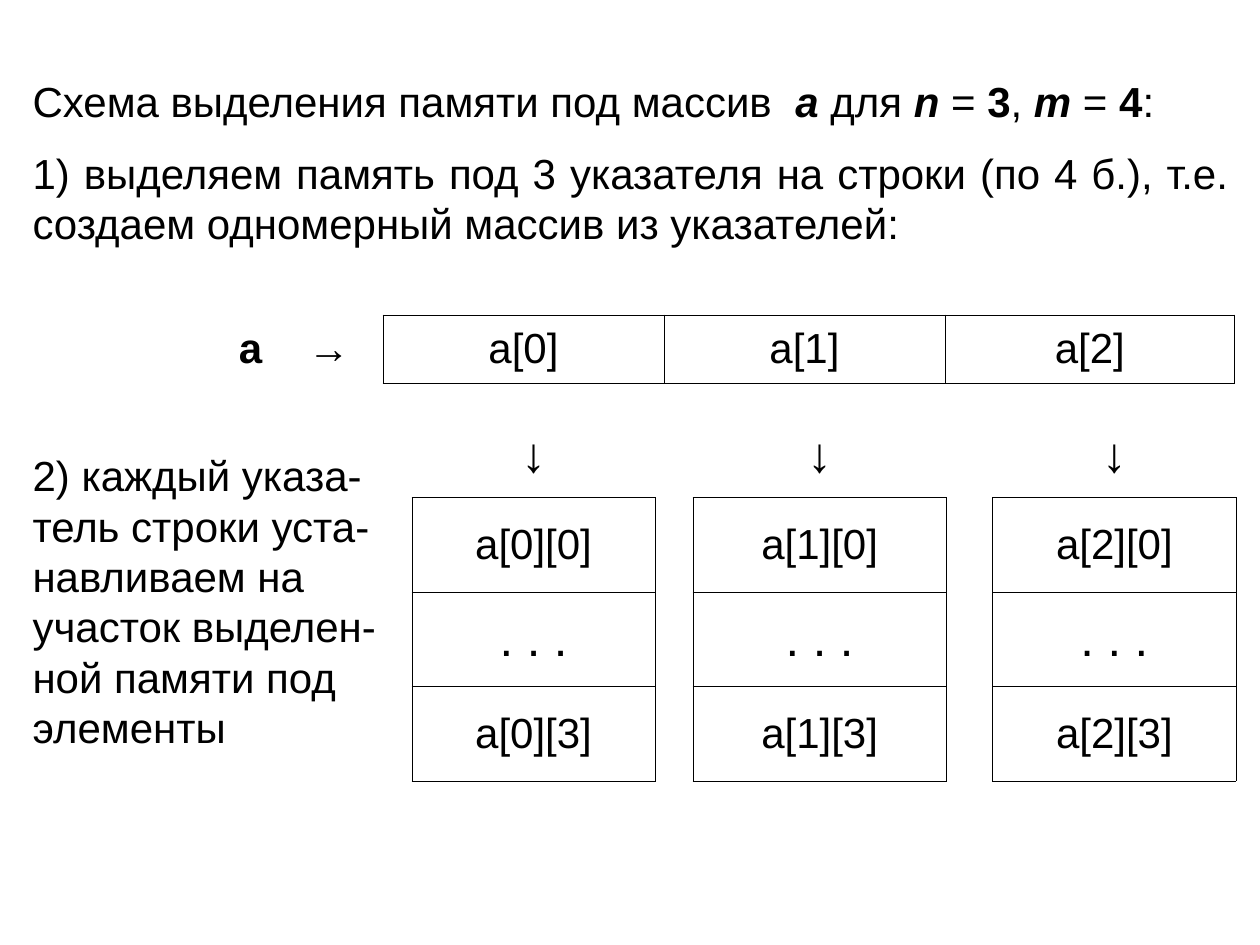
from dataclasses import dataclass

import pptx
import pptx.dml.color
import pptx.enum.text
import pptx.oxml.ns
import pptx.util
from lxml import etree

Pt = pptx.util.Pt
ALIGN = pptx.enum.text.PP_ALIGN
ANCHOR = pptx.enum.text.MSO_ANCHOR
INK = "000000"
BORDER_WIDTH = 0.45
FULL = "LRTB"


@dataclass
class Span:
    text: str
    bold: bool = False
    italic: bool = False
    size: float = 24


@dataclass
class Cell:
    span: Span | None
    sides: str = FULL
    align: int = ALIGN.CENTER


@dataclass
class Grid:
    left: float
    top: float
    columns: list[float]
    rows: list[float]
    cells: list[list[Cell]]


@dataclass
class Note:
    left: float
    top: float
    width: float
    height: float
    paragraphs: list[list[Span]]
    align: int
    anchor: int


def color(hex_value: str) -> pptx.dml.color.RGBColor:
    return pptx.dml.color.RGBColor.from_string(hex_value)


def set_format(target, values: dict) -> None:
    for name, value in values.items():
        setattr(target, name, value)


def write_spans(para, spans: list[Span], align: int, before: float = 0) -> None:
    set_format(para, {"alignment": align, "space_before": Pt(before)})
    for span in spans:
        run = para.add_run()
        run.text = span.text
        set_format(run.font, {"name": "Arial", "size": Pt(span.size),
                              "bold": span.bold, "italic": span.italic})
        run.font.color.rgb = color(INK)


def draw_note(page, note: Note) -> None:
    box = page.shapes.add_textbox(Pt(note.left), Pt(note.top), Pt(note.width), Pt(note.height))
    frame = box.text_frame
    set_format(frame, {"word_wrap": True, "vertical_anchor": note.anchor,
                       "auto_size": pptx.enum.text.MSO_AUTO_SIZE.SHAPE_TO_FIT_TEXT,
                       "margin_left": Pt(7.2), "margin_right": Pt(7.2),
                       "margin_top": Pt(3.6), "margin_bottom": Pt(5.76)})
    for index, spans in enumerate(note.paragraphs):
        para = frame.add_paragraph() if index else frame.paragraphs[0]
        write_spans(para, spans, note.align, 12 if index else 0)


def set_borders(cell, sides: str) -> None:
    properties = cell._tc.get_or_add_tcPr()
    qn = pptx.oxml.ns.qn
    for position, side in enumerate(FULL):
        line = etree.Element(qn(f"a:ln{side}"), w=str(Pt(BORDER_WIDTH)))
        if side in sides:
            fill = etree.SubElement(line, qn("a:solidFill"))
            etree.SubElement(fill, qn("a:srgbClr"), val=INK)
        else:
            etree.SubElement(line, qn("a:noFill"))
        properties.insert(position, line)


def draw_grid(page, grid: Grid) -> None:
    table = page.shapes.add_table(
        len(grid.rows), len(grid.columns), Pt(grid.left), Pt(grid.top),
        Pt(sum(grid.columns)), Pt(sum(grid.rows))).table
    set_format(table, {"first_row": False, "horz_banding": False})
    for column, width in zip(table.columns, grid.columns):
        column.width = Pt(width)
    for row, height in zip(table.rows, grid.rows):
        row.height = Pt(height)
    for row, contents in zip(table.rows, grid.cells):
        for cell, content in zip(row.cells, contents):
            cell.fill.background()
            set_borders(cell, content.sides)
            cell.vertical_anchor = ANCHOR.MIDDLE
            if content.span:
                write_spans(cell.text_frame.paragraphs[0], [content.span], content.align)


def with_gaps(cells: list[Cell], gap_sides: str) -> list[Cell]:
    """Put an empty cell between each two neighbours."""
    spaced = [cells[0]]
    for cell in cells[1:]:
        spaced += [Cell(None, gap_sides), cell]
    return spaced


def main() -> None:
    deck = pptx.Presentation()
    set_format(deck, {"slide_width": Pt(720), "slide_height": Pt(540)})
    page = deck.slides.add_slide(deck.slide_layouts[6])
    pointers = range(3)

    # Heading and first step
    draw_note(page, Note(11.52, 39.6, 697.68, 108, [
        [Span("Схема выделения памяти под массив  "), Span("а", True, True),
         Span(" для "), Span("n", True, True), Span(" = "), Span("3", True),
         Span(", "), Span("m", True, True), Span(" = "), Span("4", True), Span(":")],
        [Span("1) выделяем память под 3 указателя на строки (по 4 б.), "
              "т.е. создаем одномерный массив из указателей:")],
    ], ALIGN.JUSTIFY, ANCHOR.MIDDLE))

    # Array of pointers
    pointer_row = [Cell(Span("a", True), "", ALIGN.RIGHT), Cell(Span("→"), "R")]
    pointer_row += [Cell(Span(f"a[{i}]")) for i in pointers]
    draw_grid(page, Grid(110.16, 180, [46.8, 61.92, 160.56, 160.56, 165.6], [38.88],
                         [pointer_row]))

    # Elements that each pointer leads to
    element_rows = [
        with_gaps([Cell(Span("↓", size=28), "B") for i in pointers], ""),
        with_gaps([Cell(Span(f"a[{i}][0]")) for i in pointers], "LR"),
        with_gaps([Cell(Span(". . .", size=28)) for i in pointers], "LR"),
        with_gaps([Cell(Span(f"a[{i}][3]")) for i in pointers], "LR"),
    ]
    draw_grid(page, Grid(235.44, 236.16, [138.96, 21.6, 144.72, 26.64, 138.96],
                         [48.24, 54, 54, 54], element_rows))

    # Second step
    draw_note(page, Note(11.52, 253.44, 212.4, 182.88, [
        [Span("2) каждый указа-тель строки уста-навливаем на участок "
              "выделен-ной памяти под элементы")],
    ], ALIGN.LEFT, ANCHOR.TOP))

    deck.save("out.pptx")


if __name__ == "__main__":
    main()
